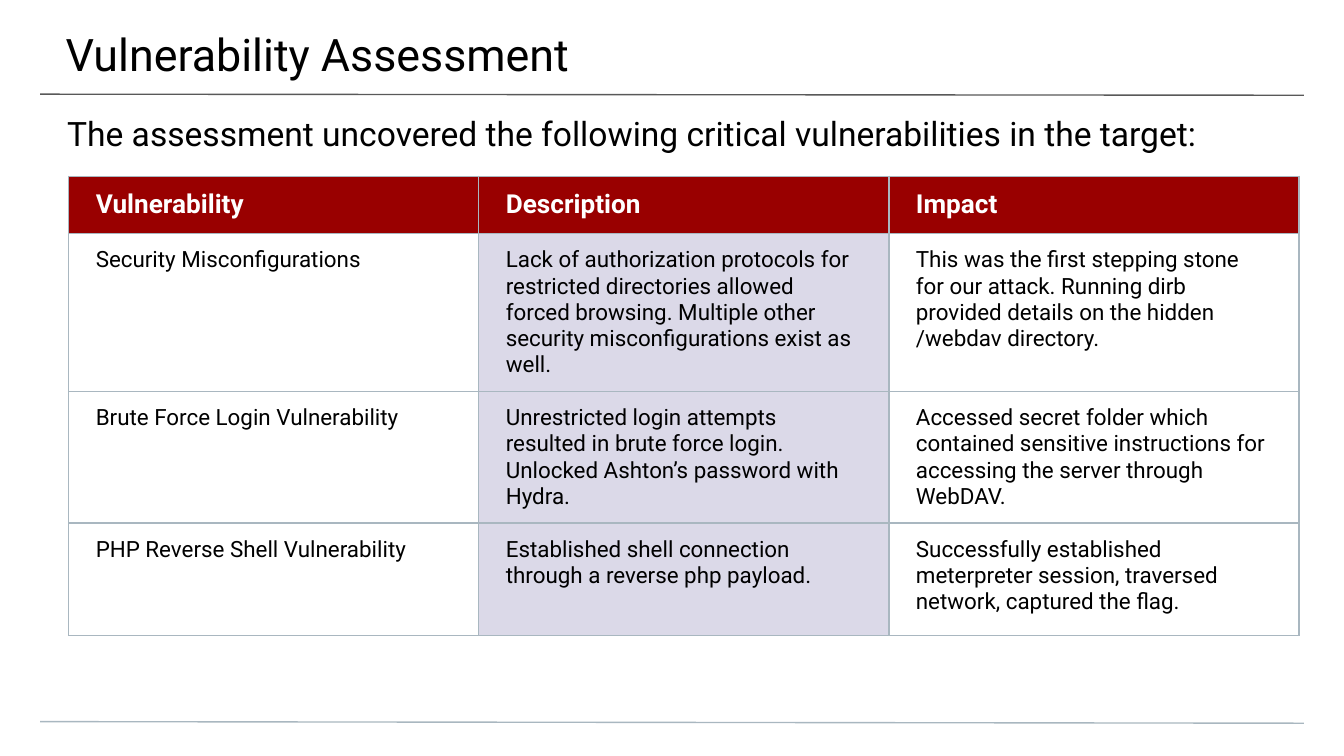
from lxml.etree import SubElement
from pptx import Presentation
from pptx.dml.color import RGBColor
from pptx.enum.shapes import MSO_CONNECTOR
from pptx.enum.text import MSO_ANCHOR, MSO_AUTO_SIZE, PP_ALIGN
from pptx.oxml.ns import qn
from pptx.util import Cm, Pt

COLORS = {"text": "000000", "white": "FFFFFF", "head": "990000",
          "tint": "DBD9E8", "rule": "595959", "edge": "A9B7C0"}
FONT = "Roboto"


def color(name):
    return RGBColor.from_string(COLORS[name])


def write(frame, text, size, tone="text", bold=False):
    para = frame.paragraphs[0]
    para.alignment = PP_ALIGN.LEFT
    run = para.add_run()
    run.text = text
    run.font.name = FONT
    run.font.size = Pt(size)
    run.font.bold = bold
    run.font.color.rgb = color(tone)


deck = Presentation()
deck.slide_width, deck.slide_height = Cm(25.4), Cm(14.29)
slide = deck.slides.add_slide(deck.slide_layouts[5])

# Rules under the title and at the foot
for top, end, tone in [(1.78, 1.8, "rule"), (13.64, 13.67, "edge")]:
    line = slide.shapes.add_connector(
        MSO_CONNECTOR.STRAIGHT, Cm(0.76), Cm(top), Cm(24.64), Cm(end))
    line.line.color.rgb = color(tone)
    line.line.width = Pt(0.75)
    SubElement(line._element.spPr, qn("a:effectLst"))

# Title and lead sentence
title = slide.shapes.title
title.left, title.top, title.width, title.height = Cm(-0.03), Cm(0), Cm(25.48), Cm(1.47)
lead = slide.shapes.add_textbox(Cm(0), Cm(1.88), Cm(25.4), Cm(1.02))
for box, text, size, pads in [
    (title, "Vulnerability Assessment", 24, (1.27, 0.51, 0.76, 0.25)),
    (lead, "The assessment uncovered the following critical vulnerabilities in the target:",
     18, (1.27, 0.25, 1.27, 0)),
]:
    frame = box.text_frame
    frame.word_wrap = True
    frame.auto_size = MSO_AUTO_SIZE.NONE
    frame.vertical_anchor = MSO_ANCHOR.TOP
    (frame.margin_left, frame.margin_top,
     frame.margin_right, frame.margin_bottom) = [Cm(pad) for pad in pads]
    write(frame, text, size)

# Table of findings
rows = [
    ("Vulnerability", "Description", "Impact"),
    ("Security Misconfigurations",
     "Lack of authorization protocols for restricted directories allowed forced browsing. "
     "Multiple other security misconfigurations exist as well.",
     "This was the first stepping stone for our attack. Running dirb provided details "
     "on the hidden /webdav directory."),
    ("Brute Force Login Vulnerability",
     "Unrestricted login attempts resulted in brute force login. "
     "Unlocked Ashton’s password with Hydra.",
     "Accessed secret folder which contained sensitive instructions for accessing "
     "the server through WebDAV."),
    ("PHP Reverse Shell Vulnerability",
     "Established shell connection through a reverse php payload.",
     "Successfully established meterpreter session, traversed network, captured the flag."),
]
table = slide.shapes.add_table(
    len(rows), 3, Cm(1.3), Cm(3.33), Cm(23.25), Cm(7.48)).table
table.horz_banding = False
for col in table.columns:
    col.width = Cm(7.75)

for r, row in enumerate(rows):
    head = r == 0
    table.rows[r].height = Cm(1.09 if head else 2.13)
    for c, text in enumerate(row):
        cell = table.cell(r, c)
        cell.margin_left = cell.margin_right = Cm(0.51)
        cell.margin_top = cell.margin_bottom = Cm(0.25)
        cell.vertical_anchor = MSO_ANCHOR.MIDDLE if head else MSO_ANCHOR.TOP
        write(cell.text_frame, text, 14 if head else 12,
              "white" if head else "text", head)
        # Borders come before the fill in the cell properties
        props = cell._tc.get_or_add_tcPr()
        for side in ("lnL", "lnR", "lnT", "lnB"):
            edge = SubElement(props, qn("a:" + side), w=str(Pt(0.75)))
            fill = SubElement(edge, qn("a:solidFill"))
            SubElement(fill, qn("a:srgbClr"), val=COLORS["edge"])
        if head or c == 1:
            cell.fill.solid()
            cell.fill.fore_color.rgb = color("head" if head else "tint")
        else:
            cell.fill.background()

deck.save("out.pptx")
